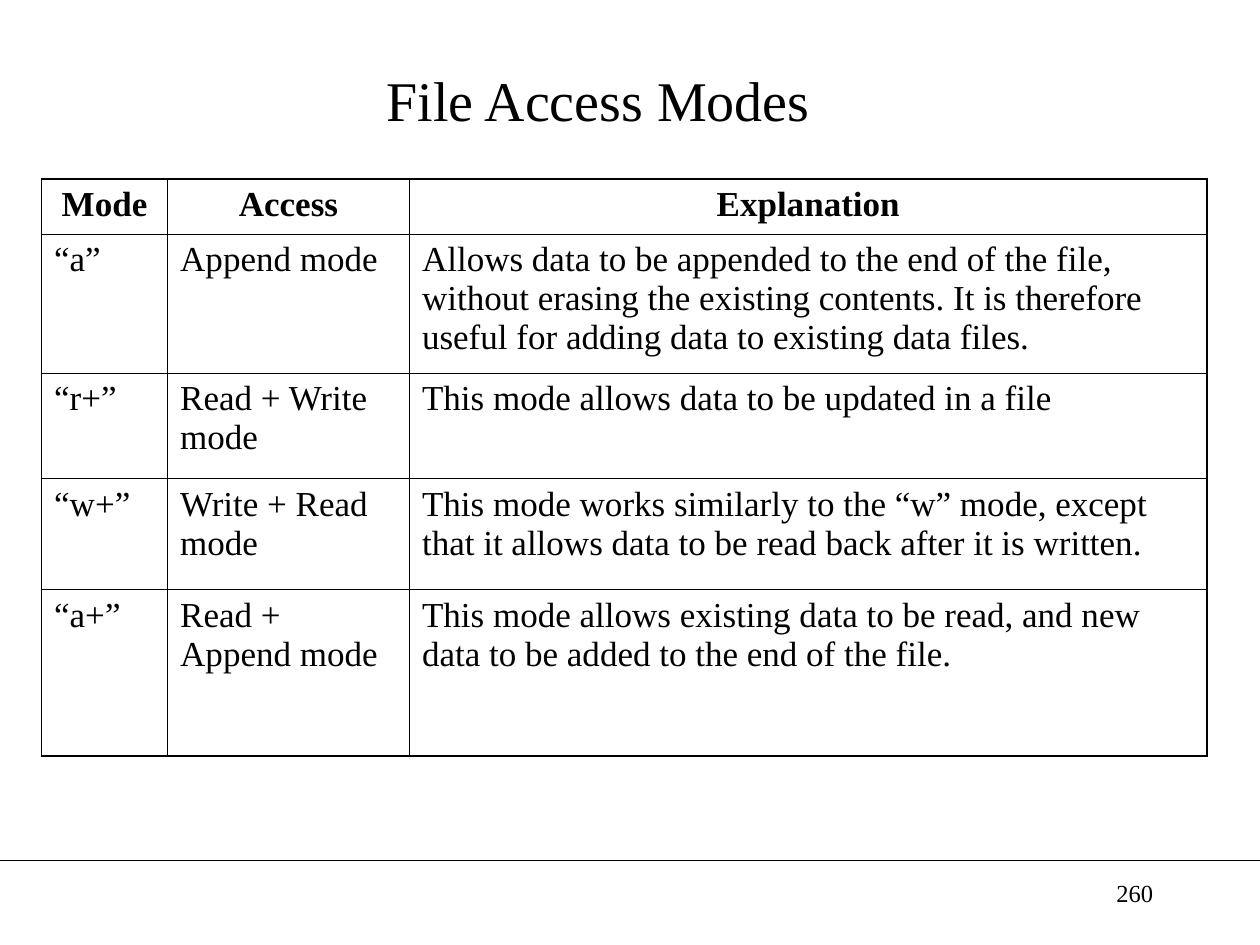
from lxml import etree
from pptx import Presentation
from pptx.dml.color import RGBColor
from pptx.enum.shapes import MSO_CONNECTOR
from pptx.enum.text import MSO_ANCHOR, PP_ALIGN
from pptx.oxml.ns import qn
from pptx.util import Inches, Pt

LEFT, CENTER, RIGHT = PP_ALIGN.LEFT, PP_ALIGN.CENTER, PP_ALIGN.RIGHT
MIDDLE = MSO_ANCHOR.MIDDLE
STRAIGHT = MSO_CONNECTOR.STRAIGHT
TITLE_ONLY = 5
BLACK = "000000"
THIN, THICK = 0.45, 1.08

COLUMN_WIDTHS = [1, 1.92, 6.33]
ROW_HEIGHTS = [0.44, 1.1, 0.84, 0.88, 1.32]
ACCESS_MODES = [
    ("Mode", "Access", "Explanation"),
    ("“a”", "Append mode",
     "Allows data to be appended to the end of the file, without erasing the "
     "existing contents. It is therefore useful for adding data to existing data files."),
    ("“r+”", "Read + Write mode", "This mode allows data to be updated in a file"),
    ("“w+”", "Write + Read mode",
     "This mode works similarly to the “w” mode, except that it allows data to "
     "be read back after it is written."),
    ("“a+”", "Read + Append mode",
     "This mode allows existing data to be read, and new data to be added to "
     "the end of the file."),
]


def color(hex_string):
    return RGBColor.from_string(hex_string)


class SlideBuilder:
    font_name = "Times New Roman"
    ink = BLACK

    def __init__(self, slide):
        self.slide = slide

    def set_text(self, frame, text, size, align=LEFT, bold=False):
        frame.text = text
        frame.word_wrap = True
        paragraph = frame.paragraphs[0]
        paragraph.alignment = align
        font = paragraph.runs[0].font
        formats = {"name": self.font_name, "size": Pt(size), "bold": bold}
        for attribute, value in formats.items():
            setattr(font, attribute, value)
        font.color.rgb = color(self.ink)

    def title(self, text, left, top, width, height):
        heading = self.slide.shapes.title
        box = {"left": left, "top": top, "width": width, "height": height}
        for attribute, value in box.items():
            setattr(heading, attribute, Inches(value))
        heading.text_frame.vertical_anchor = MIDDLE
        self.set_text(heading.text_frame, text, 32, CENTER)

    def text(self, text, left, top, width, height, size, align):
        box = self.slide.shapes.add_textbox(*map(Inches, (left, top, width, height)))
        self.set_text(box.text_frame, text, size, align)

    def line(self, x1, y1, x2, y2, weight):
        rule = self.slide.shapes.add_connector(STRAIGHT, *map(Inches, (x1, y1, x2, y2)))
        rule.line.color.rgb = color(self.ink)
        rule.line.width = Pt(weight)
        etree.SubElement(rule._element.spPr, qn("a:effectLst"))

    def border(self, cell, side, weight):
        properties = cell._tc.get_or_add_tcPr()
        edge = etree.SubElement(properties, qn(f"a:ln{side}"), w=str(Pt(weight)))
        fill = etree.SubElement(edge, qn("a:solidFill"))
        etree.SubElement(fill, qn("a:srgbClr"), val=self.ink)

    def table(self, rows, left, top, widths, heights):
        size = (sum(widths), sum(heights))
        table = self.slide.shapes.add_table(
            len(rows), len(widths), *map(Inches, (left, top, *size))).table
        table.first_row = table.horz_banding = False
        for column, width in zip(table.columns, widths):
            column.width = Inches(width)
        for row, height in zip(table.rows, heights):
            row.height = Inches(height)
        last_row, last_column = len(rows) - 1, len(widths) - 1
        for r, row in enumerate(rows):
            for c, text in enumerate(row):
                cell = table.cell(r, c)
                header = r == 0
                self.set_text(cell.text_frame, text, 20, CENTER if header else LEFT, header)
                # Outer edges are thicker than the inner grid
                outer = {"L": c == 0, "R": c == last_column,
                         "T": r == 0, "B": r == last_row}
                for side, is_outer in outer.items():
                    self.border(cell, side, THICK if is_outer else THIN)
                cell.fill.background()


def main():
    presentation = Presentation()
    presentation.slide_width, presentation.slide_height = Inches(10), Inches(7.5)
    layout = presentation.slide_layouts[TITLE_ONLY]
    builder = SlideBuilder(presentation.slides.add_slide(layout))

    # Footer rule
    builder.line(0, 6.83, 10, 6.83, 0.75)

    # Title and table of modes
    builder.title("File Access Modes", 0.5, 0.25, 8.5, 1.08)
    builder.table(ACCESS_MODES, 0.33, 1.42, COLUMN_WIDTHS, ROW_HEIGHTS)

    # Page number
    builder.text("260", 7.17, 6.92, 2.08, 0.5, 14, RIGHT)

    presentation.save("out.pptx")


if __name__ == "__main__":
    main()
